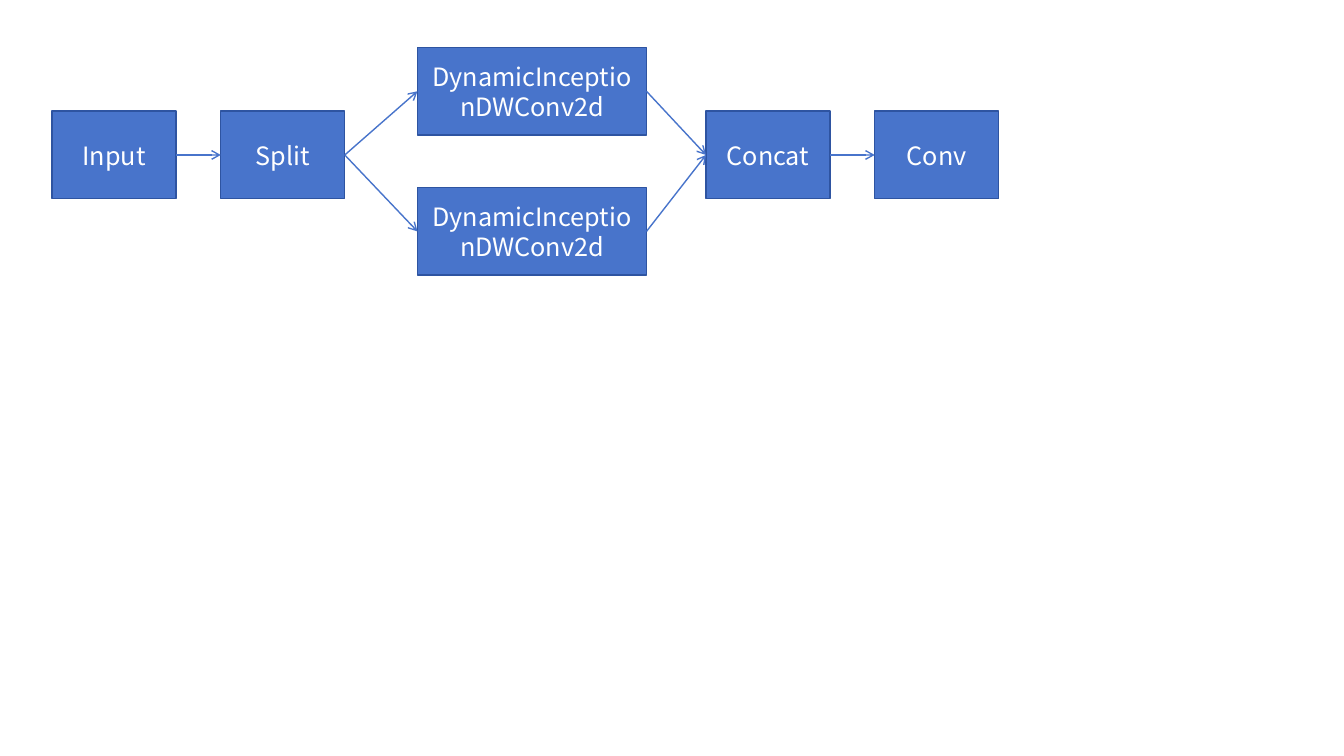
"""Draw a split and concat flow of dynamic inception convolutions."""
from dataclasses import dataclass

from lxml import etree
from pptx import Presentation
from pptx.dml.color import RGBColor
from pptx.enum.shapes import MSO_CONNECTOR, MSO_SHAPE
from pptx.enum.text import MSO_ANCHOR, PP_ALIGN
from pptx.oxml.ns import qn
from pptx.shapes.autoshape import Shape
from pptx.slide import Slide
from pptx.util import Pt

RECT = MSO_SHAPE.RECTANGLE
STRAIGHT = MSO_CONNECTOR.STRAIGHT
MIDDLE = MSO_ANCHOR.MIDDLE
CENTER = PP_ALIGN.CENTER
LEFT, RIGHT = 1, 3

COLORS = {"fill": "4874CB", "edge": "2E54A1", "text": "FFFFFF"}
FONT = "Noto Sans CJK JP"
NARROW, WIDE, HEIGHT = 88.6, 163.6, 62.6
UPPER, CENTRAL, LOWER = 33.9, 79.4, 134


@dataclass(frozen=True)
class Block:
    """A labelled stage of the flow, in points."""
    label: str
    left: float
    top: float = CENTRAL
    width: float = NARROW


@dataclass(frozen=True)
class Link:
    """An arrow between two named stages."""
    start: str
    end: str


BLOCKS = {
    "input": Block("Input", 37.2),
    "split": Block("Split", 157.7),
    "upper": Block("DynamicInceptionDWConv2d", 298.2, UPPER, WIDE),
    "lower": Block("DynamicInceptionDWConv2d", 298.2, LOWER, WIDE),
    "concat": Block("Concat", 504.3),
    "conv": Block("Conv", 624.8),
}
LINKS = [
    Link("input", "split"),
    Link("split", "upper"),
    Link("split", "lower"),
    Link("upper", "concat"),
    Link("lower", "concat"),
    Link("concat", "conv"),
]


def color(name: str) -> RGBColor:
    """Look up a named colour."""
    return RGBColor.from_string(COLORS[name])


def draw_block(slide: Slide, block: Block) -> Shape:
    """Draw one stage with its centred label."""
    shape = slide.shapes.add_shape(
        RECT, Pt(block.left), Pt(block.top), Pt(block.width), Pt(HEIGHT))
    shape.shadow.inherit = False
    shape.fill.solid()
    shape.fill.fore_color.rgb = color("fill")
    shape.line.color.rgb = color("edge")
    shape.line.width = Pt(1)
    frame = shape.text_frame
    frame.text = block.label
    frame.word_wrap = True
    frame.vertical_anchor = MIDDLE
    line = frame.paragraphs[0]
    line.alignment = CENTER
    font = line.runs[0].font
    font.name = FONT
    font.size = Pt(18)
    font.color.rgb = color("text")
    return shape


def draw_link(slide: Slide, start: Shape, end: Shape) -> None:
    """Join the right side of one stage to the left side of the next."""
    arrow = slide.shapes.add_connector(STRAIGHT, Pt(0), Pt(0), Pt(0), Pt(0))
    arrow.begin_connect(start, RIGHT)
    arrow.end_connect(end, LEFT)
    arrow.line.color.rgb = color("fill")
    arrow.line.width = Pt(1)
    props = arrow.element.spPr
    etree.SubElement(props.find(qn("a:ln")), qn("a:tailEnd"), type="arrow")
    etree.SubElement(props, qn("a:effectLst"))


def main() -> None:
    """Build and save the slide."""
    deck = Presentation()
    deck.slide_width, deck.slide_height = Pt(960), Pt(540)
    slide = deck.slides.add_slide(deck.slide_layouts[6])
    shapes = {name: draw_block(slide, block) for name, block in BLOCKS.items()}
    for link in LINKS:
        draw_link(slide, shapes[link.start], shapes[link.end])
    deck.save("out.pptx")


if __name__ == "__main__":
    main()
